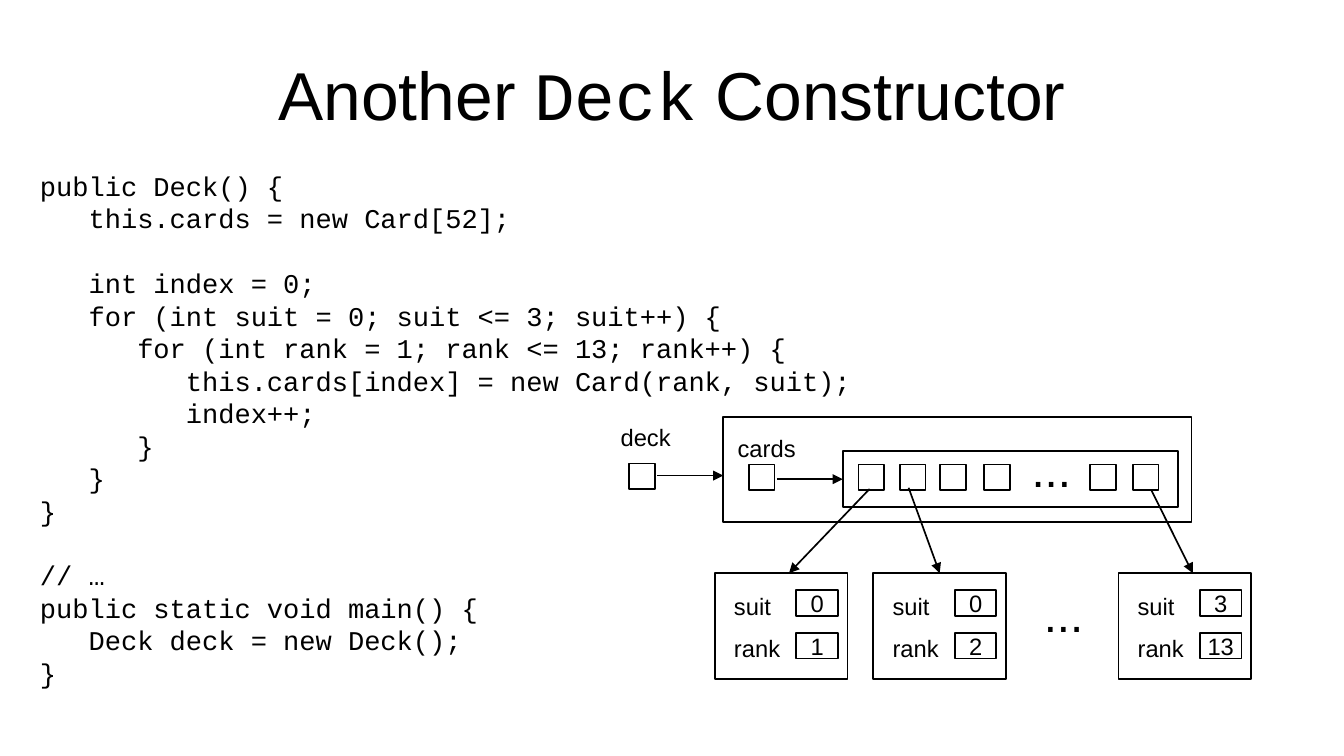
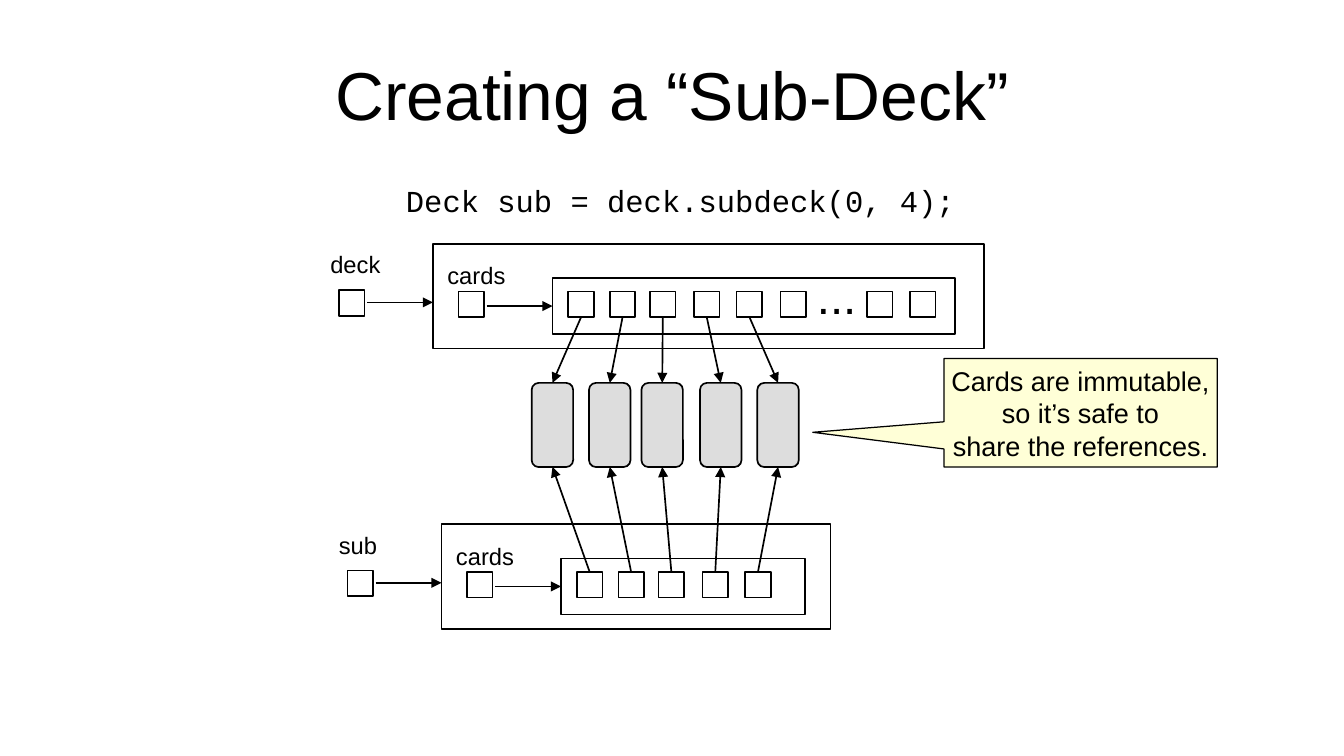
"""Build two slides on a Deck constructor and on sharing cards with a sub-deck."""
from dataclasses import dataclass
from typing import NamedTuple

from lxml.etree import SubElement
from pptx import Presentation
from pptx.dml.color import RGBColor
from pptx.enum.shapes import MSO_CONNECTOR, MSO_SHAPE
from pptx.enum.text import MSO_ANCHOR, PP_ALIGN
from pptx.oxml.ns import qn
from pptx.presentation import Presentation as Deck
from pptx.shapes.autoshape import Shape
from pptx.slide import Slide
from pptx.text.text import Font
from pptx.util import Inches, Pt

COLORS = {"ink": "000000", "paper": "FFFFFF", "card": "DDDDDD", "note": "FFFFD7"}
SANS, MONO = "Arial", "Courier New"
CELL = 0.21
CELL_OFFSETS = (1.11, 1.45, 1.78, 2.14, 2.49, 2.85)
ARRAY_LEFT = 0.98
LAST_CELLS_FROM_RIGHT = (0.72, 0.37)
CODE_BLOCKS = (
    ("public Deck() {",
     "   this.cards = new Card[52];"),
    ("   int index = 0;",
     "   for (int suit = 0; suit <= 3; suit++) {",
     "      for (int rank = 1; rank <= 13; rank++) {",
     "         this.cards[index] = new Card(rank, suit);",
     "         index++;",
     "      }",
     "   }",
     "}"),
    ("// …",
     "public static void main() {",
     "   Deck deck = new Deck();",
     "}"),
)


class Box(NamedTuple):
    """A rectangle in inches."""
    left: float
    top: float
    width: float
    height: float


class Point(NamedTuple):
    """A free arrow end in inches."""
    x: float
    y: float


class Joint(NamedTuple):
    """An arrow end held by the side of a shape."""
    shape: Shape
    side: int


@dataclass
class DeckObject:
    """A variable, its deck object and the array of cells inside."""
    name: str
    left: float
    top: float
    width: float
    array_width: float
    cell_count: int
    dots_offset: float | None = None


@dataclass
class Card:
    """A card object with its two fields."""
    left: float
    suit: str
    rank: str


def color(name: str) -> RGBColor:
    """Look up a colour."""
    return RGBColor.from_string(COLORS[name])


def style_font(font: Font, size: float, face: str | None) -> None:
    """Set size, ink and, when given, the typeface."""
    font.size = Pt(size)
    font.color.rgb = color("ink")
    if face:
        font.name = face


def add_text(page: Slide, box: Box, lines: list[str], size: float, face: str = SANS) -> Shape:
    """Add a left-aligned text box with one paragraph per line."""
    label = page.shapes.add_textbox(*map(Inches, box))
    frame = label.text_frame
    frame.word_wrap = True
    frame.text = "\n".join(lines)
    for para in frame.paragraphs:
        style_font(para.font, size, face)
    return label


def add_title(page: Slide, spans: list[tuple[str, str]]) -> None:
    """Add the centred title from (text, typeface) spans."""
    title = page.shapes.add_textbox(*map(Inches, (0.55, 0.25, 9.92, 1.04)))
    frame = title.text_frame
    frame.word_wrap = True
    frame.vertical_anchor = MSO_ANCHOR.MIDDLE
    frame.margin_left = frame.margin_right = frame.margin_top = frame.margin_bottom = 0
    para = frame.paragraphs[0]
    para.alignment = PP_ALIGN.CENTER
    style_font(para.font, 40, None)
    for text, face in spans:
        span = para.add_run()
        span.text = text
        span.font.name = face


def add_shape(page: Slide, box: Box, fill: str | None = "paper",
              kind: MSO_SHAPE = MSO_SHAPE.RECTANGLE, line: float = 1) -> Shape:
    """Add an outlined shape."""
    shape = page.shapes.add_shape(kind, *map(Inches, box))
    shape.shadow.inherit = False
    if fill:
        shape.fill.solid()
        shape.fill.fore_color.rgb = color(fill)
    else:
        shape.fill.background()
    shape.line.color.rgb = color("ink")
    shape.line.width = Pt(line)
    return shape


def fill_text(shape: Shape, lines: list[str], size: float) -> None:
    """Centre unwrapped lines inside a shape."""
    frame = shape.text_frame
    frame.word_wrap = False
    frame.vertical_anchor = MSO_ANCHOR.MIDDLE
    frame.text = "\n".join(lines)
    for para in frame.paragraphs:
        para.alignment = PP_ALIGN.CENTER
        style_font(para.font, size, SANS)


def add_arrow(page: Slide, start: Point | Joint, end: Point | Joint) -> None:
    """Draw an arrow, joined to a shape wherever an end is a joint."""
    ends = [tuple(map(Inches, place)) if isinstance(place, Point) else (0, 0)
            for place in (start, end)]
    arrow = page.shapes.add_connector(MSO_CONNECTOR.STRAIGHT, *ends[0], *ends[1])
    if isinstance(start, Joint):
        arrow.begin_connect(*start)
    if isinstance(end, Joint):
        arrow.end_connect(*end)
    arrow.line.color.rgb = color("ink")
    arrow.line.width = Pt(1)
    SubElement(arrow.line._get_or_add_ln(), qn("a:tailEnd"), type="triangle")
    SubElement(arrow._element.spPr, qn("a:effectLst"))


def add_cell(page: Slide, left: float, top: float) -> Shape:
    """Add one small square reference cell."""
    return add_shape(page, Box(left, top, CELL, CELL))


def add_dots(page: Slide, left: float, top: float) -> None:
    """Add an ellipsis."""
    add_text(page, Box(left, top, 0.55, 0.53), ["..."], 28)


def add_deck_object(page: Slide, item: DeckObject) -> list[Shape]:
    """Draw a deck object and return its array cells."""
    left, top = item.left, item.top
    array_left = left + ARRAY_LEFT
    cell_top = top + 0.39
    add_shape(page, Box(left, top, item.width, 0.86), fill=None)
    array = add_shape(page, Box(array_left, top + 0.28, item.array_width, 0.46))
    add_text(page, Box(left - 0.94, top, 0.65, 0.32), [item.name], 14)
    add_text(page, Box(left + 0.02, top + 0.09, 0.7, 0.32), ["cards"], 14)
    add_cell(page, left - 0.77, top + 0.38)
    add_cell(page, left + 0.21, cell_top)
    add_arrow(page, Point(left - 0.54, top + 0.48), Point(left, top + 0.48))
    add_arrow(page, Point(left + 0.44, top + 0.51), Joint(array, 1))
    lefts = [left + offset for offset in CELL_OFFSETS[:item.cell_count]]
    if item.dots_offset is not None:
        add_dots(page, left + item.dots_offset, top + 0.14)
        right = array_left + item.array_width
        lefts += [right - offset for offset in LAST_CELLS_FROM_RIGHT]
    return [add_cell(page, cell_left, cell_top) for cell_left in lefts]


def add_card(page: Slide, card: Card) -> Shape:
    """Draw a card object with its suit and rank."""
    frame = add_shape(page, Box(card.left, 4.7, 1.09, 0.87))
    for row, (name, value) in enumerate((("suit", card.suit), ("rank", card.rank))):
        top = 4.8 + 0.35 * row
        add_text(page, Box(card.left + 0.06, top, 0.6, 0.32), [name], 14)
        field = add_shape(page, Box(card.left + 0.67, top + 0.04, 0.34, CELL))
        fill_text(field, [value], 14)
    return frame


def build_constructor(page: Slide) -> None:
    """Show the constructor code and the objects that it makes."""
    add_title(page, [("Another ", SANS), ("Deck", MONO), (" Constructor", SANS)])
    lines = [line for block in CODE_BLOCKS for line in block]
    code = add_text(page, Box(0.23, 1.34, 6.86, 4.38), lines, 16, MONO)
    block_starts = {block[0] for block in CODE_BLOCKS[1:]}
    for para in code.text_frame.paragraphs:
        if para.text in block_starts:
            para.space_before = Pt(19)
    add_deck_object(page, DeckObject("deck", 5.93, 3.42, 3.84, 2.75, 4, 2.43))
    cards = (Card(5.86, "0", "1"), Card(7.16, "0", "2"), Card(9.17, "3", "13"))
    first, second, last = [add_card(page, card) for card in cards]
    add_arrow(page, Point(7.13, 4.01), Point(6.47, 4.7))
    add_arrow(page, Point(7.45, 4), Joint(second, 0))
    add_arrow(page, Point(9.44, 4.02), Point(9.78, 4.7))
    add_dots(page, 8.46, 4.75)


def build_sub_deck(page: Slide) -> None:
    """Show a deck and a sub-deck that refer to the same cards."""
    add_title(page, [("Creating a “Sub-Deck”", SANS)])
    add_text(page, Box(3.23, 1.44, 5.35, 0.38), ["Deck sub = deck.subdeck(0, 4);"], 18, MONO)
    deck_cells = add_deck_object(page, DeckObject("deck", 3.55, 2, 4.52, 3.3, 6, 3.05))
    sub_cells = add_deck_object(page, DeckObject("sub", 3.62, 4.3, 3.19, 2, 5))
    card_lefts = (4.36, 4.83, 5.26, 5.74, 6.21)
    for left, deck_cell, sub_cell in zip(card_lefts, deck_cells, sub_cells):
        card = add_shape(page, Box(left, 3.14, 0.34, 0.69), "card", MSO_SHAPE.ROUNDED_RECTANGLE)
        add_arrow(page, Joint(deck_cell, 2), Joint(card, 0))
        add_arrow(page, Joint(sub_cell, 0), Joint(card, 2))
    note = add_shape(page, Box(7.74, 2.94, 2.24, 0.89), "note",
                     MSO_SHAPE.RECTANGULAR_CALLOUT, line=0)
    note.adjustments[0], note.adjustments[1] = -0.98, 0.18
    fill_text(note, ["Cards are immutable,", "so it’s safe to", "share the references."], 16)


def main() -> None:
    """Build and save the deck."""
    deck: Deck = Presentation()
    deck.slide_width, deck.slide_height = Inches(11.02), Inches(6.2)
    for build in (build_constructor, build_sub_deck):
        build(deck.slides.add_slide(deck.slide_layouts[6]))
    deck.save("out.pptx")


if __name__ == "__main__":
    main()
